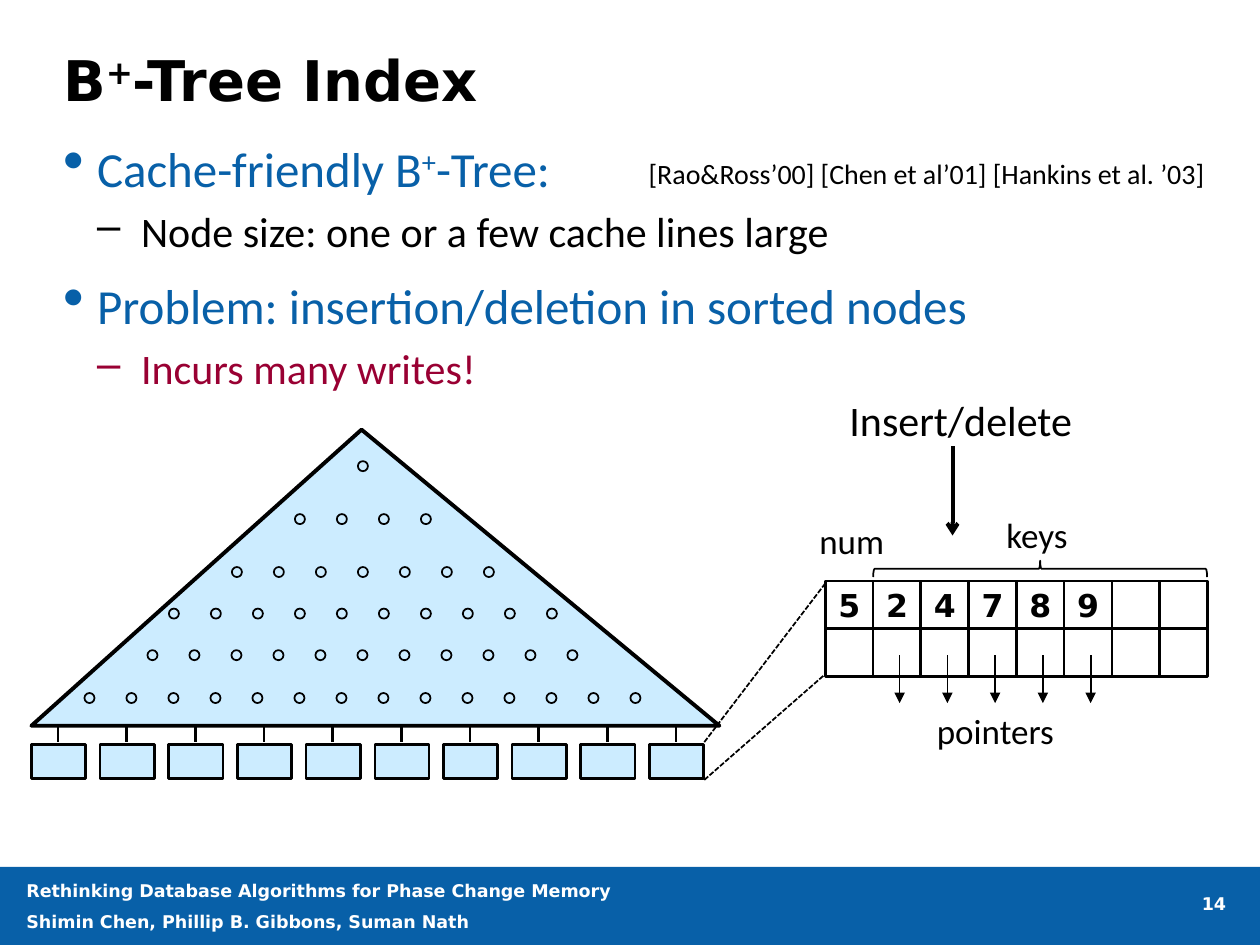
"""Build the B+-Tree Index slide."""
from dataclasses import dataclass
from typing import NamedTuple, Optional

from lxml import etree
from pptx import Presentation
from pptx.dml.color import RGBColor
from pptx.enum import dml, shapes, text
from pptx.oxml import ns
from pptx.util import Inches, Pt

BLUE = RGBColor(0x08, 0x60, 0xA8)
PALE = RGBColor(0xCC, 0xEC, 0xFF)
CRIMSON = RGBColor(0x99, 0x00, 0x33)
BLACK = RGBColor(0, 0, 0)
WHITE = RGBColor(0xFF, 0xFF, 0xFF)
BODY_FONT = "Calibri"
HEAD_FONT = "DejaVu Sans"
KIND = shapes.MSO_SHAPE
ALIGN = text.PP_ALIGN
ANCHOR = text.MSO_ANCHOR


class Box(NamedTuple):
    left: float
    top: float
    width: float
    height: float


class NodeRow(NamedTuple):
    left: float
    top: float
    count: int


@dataclass
class Style:
    size: float
    color: RGBColor = BLACK
    font: str = BODY_FONT
    bold: bool = False
    align: ALIGN = ALIGN.LEFT
    before: float = 0


@dataclass
class Bullet:
    char: str
    margin: float
    hang: float
    percent: int


@dataclass
class Label:
    words: str
    box: Box
    style: Style


@dataclass
class Point:
    words: str
    bullet: Bullet
    style: Style


DOT = Bullet("•", 0.27, 0.27, 125)
DASH = Bullet("–", 0.62, 0.35, 100)
POINTS = [
    Point("Cache-friendly B^+^-Tree:", DOT, Style(28, BLUE)),
    Point("Node size: one or a few cache lines large", DASH, Style(24, before=4.8)),
    Point("Problem: insertion/deletion in sorted nodes", DOT, Style(28, BLUE, before=11.2)),
    Point("Incurs many writes!", DASH, Style(24, CRIMSON, before=4.8)),
]
CAPTION = Style(20, align=ALIGN.CENTER)
LABELS = [
    Label("keys", Box(7.56, 4.03, 1.34, 0.44), CAPTION),
    Label("num", Box(6.09, 4.07, 1.34, 0.44), CAPTION),
    Label("pointers", Box(7.23, 5.58, 1.34, 0.44), CAPTION),
    Label("[Rao&Ross’00] [Chen et al’01] [Hankins et al. ’03]",
          Box(4.96, 1.19, 4.7, 0.37), Style(16, align=ALIGN.RIGHT)),
    Label("Insert/delete", Box(6.64, 3.08, 1.97, 0.5), Style(24, align=ALIGN.CENTER)),
]
NODE_ROWS = [
    NodeRow(2.84, 3.66, 1), NodeRow(2.34, 4.08, 4), NodeRow(1.84, 4.5, 7),
    NodeRow(1.34, 4.83, 10), NodeRow(1.17, 5.16, 11), NodeRow(0.67, 5.5, 14),
]
NODE_PITCH = 1 / 3
LEAF_COUNT, LEAF_PITCH = 10, 0.545
ENTRIES = ["5", "2", "4", "7", "8", "9", "", ""]
CELL, CELL_PITCH = 0.38, 0.379


def write(paragraph, words: str, style: Style, bullet: Optional[Bullet] = None) -> None:
    """Fill a paragraph; text between carets is superscript."""
    if bullet:
        props = paragraph._p.get_or_add_pPr()
        props.set("marL", str(Inches(bullet.margin)))
        props.set("indent", str(-Inches(bullet.hang)))
        etree.SubElement(props, ns.qn("a:buSzPct"), val=str(bullet.percent * 1000))
        etree.SubElement(props, ns.qn("a:buChar"), char=bullet.char)
    for index, part in enumerate(words.split("^")):
        run = paragraph.add_run()
        run.text = part
        if index % 2:
            run._r.get_or_add_rPr().set("baseline", "30000")
    paragraph.alignment = style.align
    paragraph.space_before = Pt(style.before)
    font = paragraph.font
    font.size, font.name, font.bold = Pt(style.size), style.font, style.bold
    font.color.rgb = style.color


def add_frame(slide, box: Box, inset: bool = False, anchor: ANCHOR = ANCHOR.TOP):
    """Add a wrapping text box and return its text frame."""
    frame = slide.shapes.add_textbox(*map(Inches, box)).text_frame
    frame.word_wrap, frame.vertical_anchor = True, anchor
    if not inset:
        frame.margin_left = frame.margin_right = frame.margin_top = frame.margin_bottom = 0
    return frame


def paint(shape, fill: Optional[RGBColor], weight: float) -> None:
    """Give a shape its fill and outline."""
    shape.shadow.inherit = False
    if fill is None:
        shape.fill.background()
    else:
        shape.fill.solid()
        shape.fill.fore_color.rgb = fill
    if weight:
        shape.line.color.rgb = BLACK
        shape.line.width = Pt(weight)
    else:
        shape.line.fill.background()


def add_shape(slide, kind: KIND, box: Box, fill: Optional[RGBColor], weight: float):
    """Add a painted preset shape."""
    shape = slide.shapes.add_shape(kind, *map(Inches, box))
    paint(shape, fill, weight)
    return shape


def add_line(slide, start: tuple, end: tuple, weight: float,
             head: str = "", dashed: bool = False) -> None:
    """Add a straight line, optionally dashed or ending in an arrowhead."""
    line = slide.shapes.add_connector(
        shapes.MSO_CONNECTOR.STRAIGHT, *map(Inches, (*start, *end)))
    line.line.color.rgb = BLACK
    line.line.width = Pt(weight)
    if dashed:
        line.line.dash_style = dml.MSO_LINE.SQUARE_DOT
    if head:
        etree.SubElement(line.line._get_or_add_ln(), ns.qn("a:tailEnd"), type=head)
    etree.SubElement(line._element.spPr, ns.qn("a:effectLst"))


def draw_text(slide) -> None:
    """Draw the footer, title and bullet points."""
    add_shape(slide, KIND.RECTANGLE, Box(0, 6.88, 10, 0.62), BLUE, 0)
    title = add_frame(slide, Box(0.5, 0.3, 9.01, 0.65), anchor=ANCHOR.MIDDLE)
    write(title.paragraphs[0], "B^+^-Tree Index", Style(32, font=HEAD_FONT, bold=True))
    body = add_frame(slide, Box(0.5, 1.1, 9.01, 1.97))
    for index, point in enumerate(POINTS):
        paragraph = body.add_paragraph() if index else body.paragraphs[0]
        write(paragraph, point.words, point.style, point.bullet)
    footer = add_frame(slide, Box(0.21, 6.98, 6.52, 0.42), anchor=ANCHOR.MIDDLE)
    write(footer.paragraphs[0], "Rethinking Database Algorithms for Phase Change Memory",
          Style(10, WHITE, HEAD_FONT, True))
    write(footer.add_paragraph(), "Shimin Chen, Phillip B. Gibbons, Suman Nath",
          Style(10, WHITE, HEAD_FONT, True, before=5.5))
    number = add_frame(slide, Box(9.28, 7.09, 0.45, 0.24))
    write(number.paragraphs[0], "14", Style(10, WHITE, HEAD_FONT, True, ALIGN.RIGHT))


def draw_tree(slide) -> None:
    """Draw the triangle of inner nodes and the row of leaves."""
    outline = slide.shapes.build_freeform(Inches(2.87), Inches(3.41))
    outline.add_line_segments(
        [(Inches(0.25), Inches(5.76)), (Inches(5.71), Inches(5.76))], close=True)
    paint(outline.convert_to_shape(), PALE, 2.25)
    for leaf in range(LEAF_COUNT):
        shift = leaf * LEAF_PITCH
        add_shape(slide, KIND.RECTANGLE, Box(0.25 + shift, 5.91, 0.43, 0.27), PALE, 1.5)
        add_line(slide, (0.46 + shift, 5.76), (0.46 + shift, 5.89), 1.5)
    for row in NODE_ROWS:
        for node in range(row.count):
            add_shape(slide, KIND.OVAL,
                      Box(row.left + node * NODE_PITCH, row.top, 0.08, 0.08), None, 1)


def draw_node(slide) -> None:
    """Draw the enlarged leaf with its keys and pointers."""
    digit = Style(18, font=HEAD_FONT, bold=True, align=ALIGN.CENTER)
    for top, entries in ((4.61, ENTRIES), (4.99, [""] * len(ENTRIES))):
        for column, entry in enumerate(entries):
            cell = add_shape(slide, KIND.RECTANGLE,
                             Box(6.55 + column * CELL_PITCH, top, CELL, CELL), None, 1.5)
            if entry:
                frame = cell.text_frame
                frame.margin_left = frame.margin_right = 0
                frame.vertical_anchor = ANCHOR.MIDDLE
                write(frame.paragraphs[0], entry, digit)
    brace = add_shape(slide, KIND.LEFT_BRACE, Box(8.19, 3.19, 0.13, 2.65), None, 1)
    brace.rotation = 90
    for pointer in range(5):
        x = 7.14 + pointer * CELL_PITCH
        add_line(slide, (x, 5.2), (x, 5.58), 1, "triangle")
    add_line(slide, (5.59, 5.89), (6.55, 4.63), 1, dashed=True)
    add_line(slide, (5.59, 6.19), (6.55, 5.35), 1, dashed=True)
    add_line(slide, (7.56, 3.54), (7.56, 4.25), 2.25, "arrow")
    for label in LABELS:
        write(add_frame(slide, label.box, inset=True).paragraphs[0], label.words, label.style)


def main() -> None:
    """Build and save the slide."""
    deck = Presentation()
    deck.slide_width, deck.slide_height = Inches(10), Inches(7.5)
    slide = deck.slides.add_slide(deck.slide_layouts[6])
    draw_text(slide)
    draw_tree(slide)
    draw_node(slide)
    deck.save("out.pptx")


if __name__ == "__main__":
    main()
